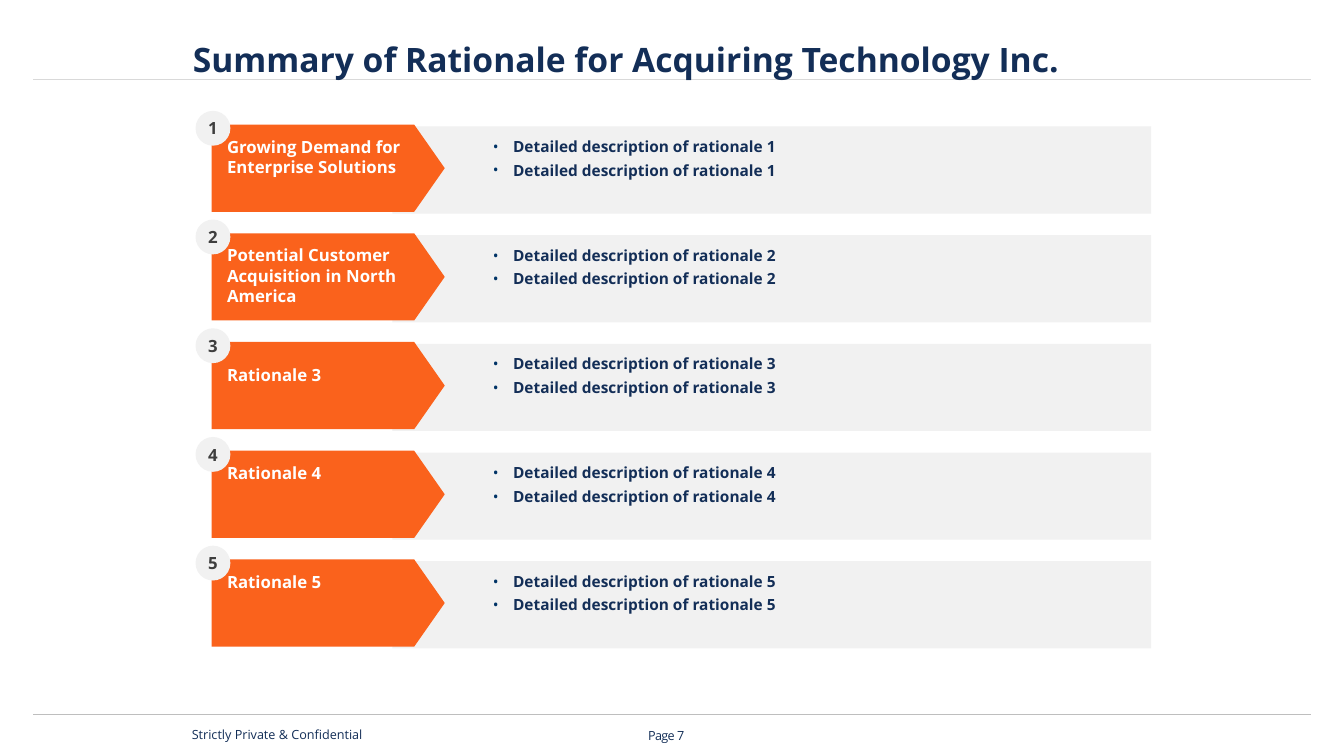
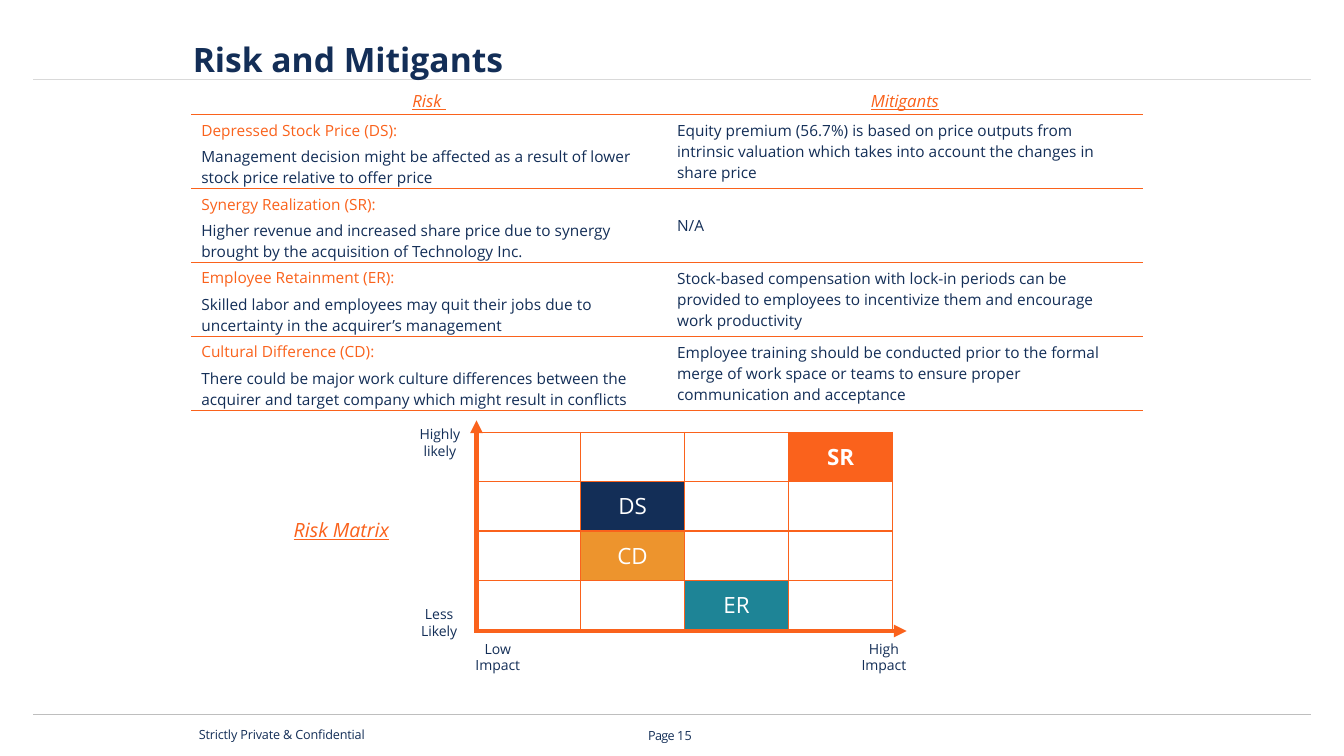
from dataclasses import dataclass

from lxml import etree
from pptx import Presentation
from pptx.dml.color import RGBColor
from pptx.enum import shapes, text
from pptx.oxml import ns
from pptx.util import Pt


@dataclass(frozen=True)
class Theme:
    font: str = "Open Sans"
    navy: str = "132E57"
    orange: str = "FA621C"
    amber: str = "ED942D"
    teal: str = "1E8496"
    white: str = "FFFFFF"
    pale: str = "F1F1F1"
    charcoal: str = "3E3E3E"
    bullet: str = "003366"
    top_rule: str = "D9D9D9"
    bottom_rule: str = "BEBEBE"
    title: float = 24
    matrix: float = 16
    caption: float = 14
    label: float = 12
    body: float = 11
    axis: float = 10
    footer: float = 9


THEME = Theme()
PLAIN_TABLE = "{2D5ABB26-0587-4C30-8999-92F81FD0307C}"
LEFT, CENTER = text.PP_ALIGN.LEFT, text.PP_ALIGN.CENTER
TOP, MIDDLE = text.MSO_ANCHOR.TOP, text.MSO_ANCHOR.MIDDLE

RATIONALES = [
    ("Growing Demand for Enterprise Solutions", 8.5),
    ("Potential Customer Acquisition in North America", 8.5),
    ("Rationale 3", 16),
    ("Rationale 4", 8.5),
    ("Rationale 5", 8.5),
]
RISKS = [
    ("Depressed Stock Price (DS):",
     "Management decision might be affected as a result of lower stock price relative to offer price",
     "Equity premium (56.7%) is based on price outputs from intrinsic valuation which takes into "
     "account the changes in share price"),
    ("Synergy Realization (SR):",
     "Higher revenue and increased share price due to synergy brought by the acquisition of Technology Inc.",
     "N/A"),
    ("Employee Retainment (ER):",
     "Skilled labor and employees may quit their jobs due to uncertainty in the acquirer’s management",
     "Stock-based compensation with lock-in periods can be provided to employees to incentivize them "
     "and encourage work productivity"),
    ("Cultural Difference (CD):",
     "There could be major work culture differences between the acquirer and target company which "
     "might result in conflicts",
     "Employee training should be conducted prior to the formal merge of work space or teams to ensure "
     "proper communication and acceptance"),
]
MATRIX_MARKS = {
    (0, 3): ("SR", THEME.orange, True),
    (1, 1): ("DS", THEME.navy, False),
    (2, 1): ("CD", THEME.amber, False),
    (3, 2): ("ER", THEME.teal, False),
}


def rgb(color):
    return RGBColor.from_string(color)


def child(parent, tag, **attributes):
    return etree.SubElement(parent, ns.qn(tag), **attributes)


def add_run(paragraph, words, size, color, bold=False, slanted=False, tracking=0):
    run = paragraph.add_run()
    run.text = words
    font = run.font
    font.name, font.size, font.bold = THEME.font, Pt(size), bold
    font.color.rgb = rgb(color)
    if slanted:
        font.italic = font.underline = True
    if tracking:
        font._element.set("spc", str(tracking))


def next_paragraph(frame, align=LEFT, before=0, after=0):
    first = frame.paragraphs[0]
    paragraph = frame.add_paragraph() if first.runs else first
    paragraph.alignment = align
    paragraph.space_before, paragraph.space_after = Pt(before), Pt(after)
    return paragraph


def set_frame(frame, insets=(0, 0, 0, 0), anchor=TOP, wrap=True):
    frame.word_wrap = wrap
    frame.auto_size = text.MSO_AUTO_SIZE.NONE
    frame.vertical_anchor = anchor
    frame.margin_left, frame.margin_top, frame.margin_right, frame.margin_bottom = map(Pt, insets)
    return frame


def add_box(slide, box, **options):
    return set_frame(slide.shapes.add_textbox(*map(Pt, box)).text_frame, **options)


def add_panel(slide, preset, box, color):
    panel = slide.shapes.add_shape(preset, *map(Pt, box))
    panel.shadow.inherit = False
    panel.fill.solid()
    panel.fill.fore_color.rgb = rgb(color)
    panel.line.fill.background()
    return panel


def add_rule(slide, start, end, color, width, arrow=False):
    rule = slide.shapes.add_connector(shapes.MSO_CONNECTOR.STRAIGHT, *map(Pt, (*start, *end)))
    rule.line.color.rgb = rgb(color)
    rule.line.width = Pt(width)
    if arrow:
        child(rule.line._get_or_add_ln(), "a:tailEnd", type="triangle")
    child(rule._element.spPr, "a:effectLst")
    return rule


def add_table(slide, box, row_heights, columns):
    frame = slide.shapes.add_table(len(row_heights), columns, *map(Pt, box))
    table = frame.table
    table.first_row = table.horz_banding = False
    next(frame._element.iter(ns.qn("a:tableStyleId"))).text = PLAIN_TABLE
    for row, row_height in zip(table.rows, row_heights):
        row.height = Pt(row_height)
    return table


def style_cell(cell, sides, fill=None):
    if fill:
        cell.fill.solid()
        cell.fill.fore_color.rgb = rgb(fill)
    else:
        cell.fill.background()
    properties = cell._tc.get_or_add_tcPr()
    for position, side in enumerate(sides):
        border = etree.Element(ns.qn(f"a:ln{side}"), w=str(Pt(1)))
        child(child(border, "a:solidFill"), "a:srgbClr", val=THEME.orange)
        properties.insert(position, border)


def add_base(deck, title, page, footer_left, tracking=0):
    slide = deck.slides.add_slide(deck.slide_layouts[5])
    heading = slide.shapes.title
    for y, color in ((57, THEME.top_rule), (510.5, THEME.bottom_rule)):
        rule = add_rule(slide, (23.6, y), (936.5, y), color, 0.48)
        heading._element.addprevious(rule._element)
    heading.left, heading.top, heading.width, heading.height = map(Pt, (137, 26.6, 749, 30))
    frame = set_frame(heading.text_frame, (0.7, 1, 0, 0))
    add_run(next_paragraph(frame, before=1), title, THEME.title, THEME.navy, bold=True)

    notice = add_box(slide, (footer_left, 519, 154, 11))
    add_run(next_paragraph(notice), "Strictly Private & Confidential",
            THEME.footer, THEME.navy, tracking=tracking)
    folio = next_paragraph(add_box(slide, (463, 520.3, 40, 11)))
    add_run(folio, "Page ", THEME.footer, THEME.navy, tracking=-50)
    add_run(folio, str(page), THEME.footer, THEME.navy, tracking=10)
    return slide


def add_bullet(frame, words):
    paragraph = next_paragraph(frame, before=3.6)
    properties = paragraph._p.get_or_add_pPr()
    properties.set("marL", str(Pt(15)))
    properties.set("indent", str(Pt(-14.4)))
    child(child(properties, "a:buClr"), "a:srgbClr", val=THEME.bullet)
    child(properties, "a:buFont", typeface=THEME.font)
    child(properties, "a:buChar", char="•")
    add_run(paragraph, words, THEME.body, THEME.navy, bold=True)


def add_rationale(slide, box, number, label, label_inset):
    left, top, width, height = box
    preset = shapes.MSO_SHAPE

    band = add_panel(slide, preset.RECTANGLE, (left + 129, top + 1.3, width - 129, height), THEME.pale)
    details = set_frame(band.text_frame, (71.3, 7.7, 0, 0))
    for _ in range(2):
        add_bullet(details, f"Detailed description of rationale {number}")

    arrow = add_panel(slide, preset.PENTAGON, (left, top, 166.5, height), THEME.orange)
    arrow.adjustments[0] = 0.35
    heading = set_frame(arrow.text_frame, (11, label_inset, 0, 0))
    add_run(next_paragraph(heading, before=1), label, THEME.label, THEME.white, bold=True)

    badge = add_panel(slide, preset.OVAL, (left - 11.5, top - 9.8, 24.9, 24.9), THEME.pale)
    digit = set_frame(badge.text_frame, anchor=MIDDLE, wrap=False)
    add_run(next_paragraph(digit, CENTER), str(number), THEME.label, THEME.charcoal, bold=True)


def add_rationale_slide(deck):
    slide = add_base(deck, "Summary of Rationale for Acquiring Technology Inc.", 7, 137)
    for index, (label, inset) in enumerate(RATIONALES):
        add_rationale(slide, (151.2, 89 + 77.65 * index, 671, 62.3), index + 1, label, inset)


def add_risk_table(slide, box):
    header_height = 21.4
    row_height = (box[3] - header_height) / len(RISKS)
    table = add_table(slide, box, [header_height] + [row_height] * len(RISKS), 2)
    for column, heading in enumerate(("Risk ", "Mitigants")):
        cell = table.cell(0, column)
        cell.margin_bottom = 0
        style_cell(cell, "B")
        add_run(next_paragraph(cell.text_frame, CENTER), heading,
                THEME.label, THEME.orange, slanted=True)
    for row, (risk, explanation, mitigant) in enumerate(RISKS, 1):
        risk_cell, mitigant_cell = table.cell(row, 0), table.cell(row, 1)
        risk_cell.margin_bottom = 0
        mitigant_cell.margin_top = mitigant_cell.margin_bottom = 0
        mitigant_cell.vertical_anchor = MIDDLE
        for cell in (risk_cell, mitigant_cell):
            style_cell(cell, "TB")
        for cell, words, color, after in ((risk_cell, risk, THEME.orange, 4),
                                          (risk_cell, explanation, THEME.navy, 0),
                                          (mitigant_cell, mitigant, THEME.navy, 0)):
            add_run(next_paragraph(cell.text_frame, after=after), words, THEME.body, color)


def add_risk_matrix(slide, box):
    left, top, width, height = box
    caption = add_box(slide, (left - 139.7, top + 57.5, 86.4, 24.5),
                      insets=(7.2, 3.6, 7.2, 3.6), wrap=False)
    add_run(next_paragraph(caption, CENTER), "Risk Matrix",
            THEME.caption, THEME.orange, slanted=True)

    table = add_table(slide, box, [height / 4] * 4, 4)
    for row in range(4):
        for column in range(4):
            cell = table.cell(row, column)
            mark, color, bold = MATRIX_MARKS.get((row, column), (None, None, False))
            style_cell(cell, "LRTB", color)
            if mark:
                cell.vertical_anchor = MIDDLE
                add_run(next_paragraph(cell.text_frame, CENTER), mark,
                        THEME.matrix, THEME.white, bold=bold)

    base = top + height + 1
    add_rule(slide, (left, base), (left, top - 8.6), THEME.orange, 3, arrow=True)
    add_rule(slide, (left - 1.5, base), (left + width + 10, base), THEME.orange, 3, arrow=True)

    for words, x, y in (("Highly likely", -51.4, -8.6), ("Less Likely", -51.9, height - 20.4),
                        ("Low Impact", -10, height + 4), ("High Impact", width - 31.4, height + 4)):
        label = add_box(slide, (left + x, top + y, 50.4, 31.7), insets=(7.2, 3.6, 7.2, 3.6))
        add_run(next_paragraph(label, CENTER), words, THEME.axis, THEME.navy)


def add_risk_slide(deck):
    slide = add_base(deck, "Risk and Mitigants", 15, 142, tracking=-12)
    add_risk_matrix(slide, (340.4, 308.9, 297.2, 140.8))
    add_risk_table(slide, (136.6, 60.5, 679.7, 232.6))


def main():
    deck = Presentation()
    deck.slide_width, deck.slide_height = Pt(960), Pt(540)
    add_rationale_slide(deck)
    add_risk_slide(deck)
    deck.save("out.pptx")


if __name__ == "__main__":
    main()
